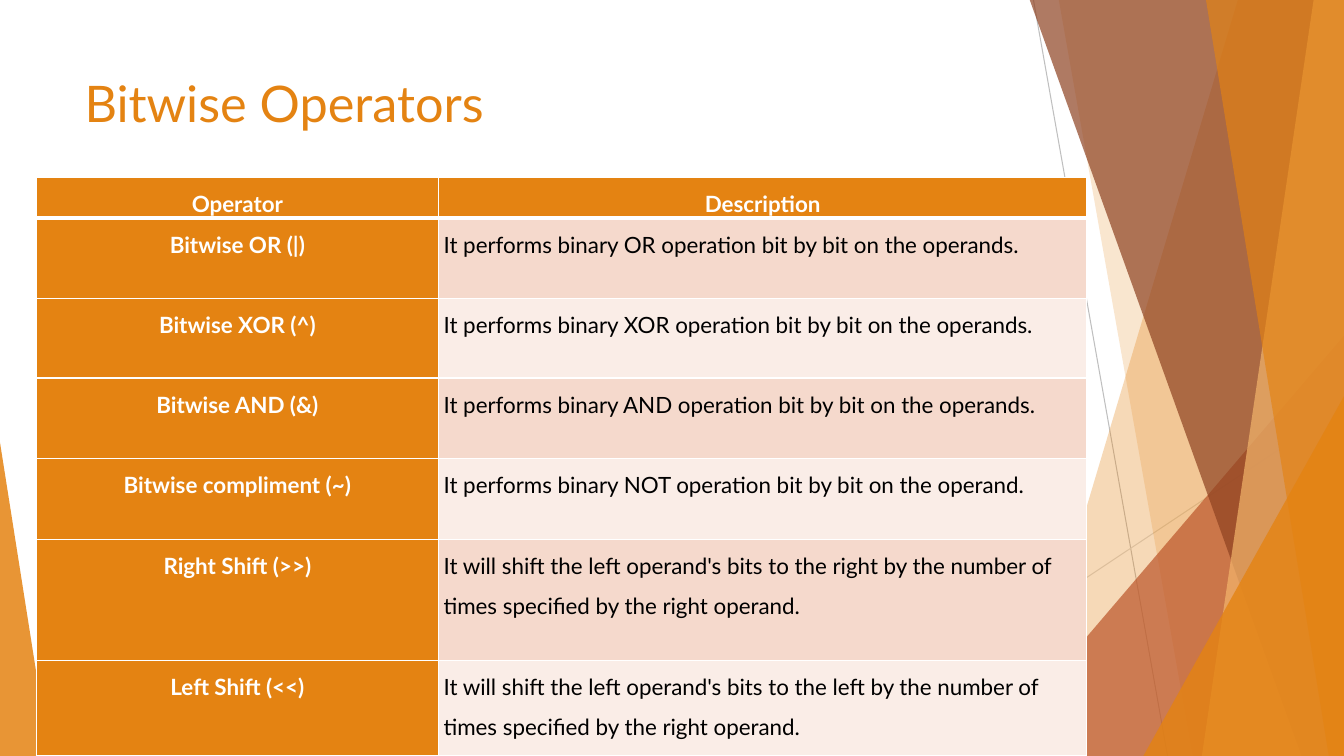
from lxml import etree
from pptx import Presentation
from pptx.dml.color import RGBColor
from pptx.enum.shapes import MSO_CONNECTOR, MSO_SHAPE
from pptx.enum.text import MSO_ANCHOR, PP_ALIGN
from pptx.oxml.ns import qn
from pptx.util import Inches, Pt

STRAIGHT = MSO_CONNECTOR.STRAIGHT
TRIANGLE = MSO_SHAPE.ISOSCELES_TRIANGLE
TOP = MSO_ANCHOR.TOP
LEFT, CENTER = PP_ALIGN.LEFT, PP_ALIGN.CENTER

WHITE = RGBColor(0xFF, 0xFF, 0xFF)
BLACK = RGBColor(0x00, 0x00, 0x00)
ORANGE = RGBColor(0xE4, 0x83, 0x12)
LIGHT_ORANGE = RGBColor(0xF3, 0xB5, 0x6C)
RUST = RGBColor(0xBD, 0x58, 0x2C)
BROWN = RGBColor(0x8E, 0x42, 0x21)
GRAY = RGBColor(0xBF, 0xBF, 0xBF)
LIGHT_GRAY = RGBColor(0xD9, 0xD9, 0xD9)
STRIPES = (RGBColor(0xF5, 0xD9, 0xCC), RGBColor(0xFA, 0xED, 0xE7))

WIDTH, HEIGHT = 13.33, 7.5
BAND_TOP = -0.01
COL_WIDTHS = (3.99, 6.43)
ROW_HEIGHTS = (0.4, 0.8, 0.79, 0.8, 0.8, 1.2, 0.95)
ROWS = (
    ("Operator", "Description"),
    ("Bitwise OR (|)", "It performs binary OR operation bit by bit on the operands."),
    ("Bitwise XOR (^)", "It performs binary XOR operation bit by bit on the operands."),
    ("Bitwise AND (&)", "It performs binary AND operation bit by bit on the operands."),
    ("Bitwise compliment (~)", "It performs binary NOT operation bit by bit on the operand."),
    ("Right Shift (>>)", "It will shift the left operand's bits to the right by the number "
     "of times specified by the right operand."),
    ("Left Shift (<<)", "It will shift the left operand's bits to the left by the number "
     "of times specified by the right operand."),
)


class Deck:
    """Hold the style and the current slide."""

    font = "Lato"

    def __init__(self, slide):
        """Keep the slide to draw on."""
        self.s = slide

    def line(self, x1, y1, x2, y2, color):
        """Draw a thin straight line."""
        sp = self.s.shapes.add_connector(
            STRAIGHT, Inches(x1), Inches(y1), Inches(x2), Inches(y2))
        sp.line.color.rgb = color
        sp.line.width = Pt(0.75)
        etree.SubElement(sp._element.spPr, qn("a:effectLst"))

    def paint(self, sp, color, opacity):
        """Fill a shape with a see-through colour and no outline."""
        sp.shadow.inherit = False
        sp.fill.solid()
        sp.fill.fore_color.rgb = color
        sp.line.fill.background()
        clr = sp._element.spPr.find(qn("a:solidFill"))[0]
        etree.SubElement(clr, qn("a:alpha")).set("val", str(opacity * 1000))

    def band(self, top_x, bottom_x, color, opacity):
        """Draw a slanted band that reaches the right edge."""
        points = ((WIDTH, BAND_TOP), (WIDTH, HEIGHT), (bottom_x, HEIGHT))
        fb = self.s.shapes.build_freeform(Inches(top_x), Inches(BAND_TOP))
        fb.add_line_segments([(Inches(x), Inches(y)) for x, y in points], close=True)
        self.paint(fb.convert_to_shape(), color, opacity)

    def triangle(self, x, y, w, apex, color, opacity):
        """Draw a triangle that stands on the bottom edge."""
        sp = self.s.shapes.add_shape(
            TRIANGLE, Inches(x), Inches(y), Inches(w), Inches(HEIGHT - y))
        sp.adjustments[0] = apex
        self.paint(sp, color, opacity)

    def run(self, p, text, size, color, bold=False):
        """Add one styled run to a paragraph."""
        r = p.add_run()
        r.text = text
        r.font.name = self.font
        r.font.size = Pt(size)
        r.font.bold = bold
        r.font.color.rgb = color

    def title(self, x, y, w, h, text):
        """Add the slide title."""
        tf = self.s.shapes.add_textbox(Inches(x), Inches(y), Inches(w), Inches(h)).text_frame
        tf.word_wrap = True
        tf.vertical_anchor = TOP
        self.run(tf.paragraphs[0], text, 36, ORANGE)

    def borders(self, cell, top, bottom):
        """Give a cell white borders, widths in points."""
        tc_pr = cell._tc.get_or_add_tcPr()
        sides = (("L", 1), ("R", 1), ("T", top), ("B", bottom))
        for i, (side, width) in enumerate(sides):
            ln = etree.Element(qn("a:ln" + side), w=str(Pt(width)))
            fill = etree.SubElement(ln, qn("a:solidFill"))
            etree.SubElement(fill, qn("a:srgbClr")).set("val", str(WHITE))
            tc_pr.insert(i, ln)

    def cell(self, cell, text, fill, color, bold, align):
        """Fill one table cell and write its text."""
        cell.fill.solid()
        cell.fill.fore_color.rgb = fill
        cell.margin_left = cell.margin_right = Inches(0.05)
        cell.margin_top = cell.margin_bottom = 0
        p = cell.text_frame.paragraphs[0]
        p.alignment = align
        p.line_spacing = 1.5
        self.run(p, text, 16, color, bold)

    def table(self, x, y, rows):
        """Add the operator table with a header row and header column."""
        table = self.s.shapes.add_table(
            len(rows), len(COL_WIDTHS), Inches(x), Inches(y),
            Inches(sum(COL_WIDTHS)), Inches(sum(ROW_HEIGHTS))).table
        for col, width in zip(table.columns, COL_WIDTHS):
            col.width = Inches(width)
        for i, (row, texts) in enumerate(zip(table.rows, rows)):
            row.height = Inches(ROW_HEIGHTS[i])
            for j, text in enumerate(texts):
                cell = row.cells[j]
                if i == 0 or j == 0:
                    self.cell(cell, text, ORANGE, WHITE, True, CENTER)
                else:
                    self.cell(cell, text, STRIPES[(i - 1) % 2], BLACK, False, LEFT)
                self.borders(cell, 3 if i == 1 else 1, 3 if i == 0 else 1)


def main():
    """Build the slide and save it."""
    prs = Presentation()
    prs.slide_width, prs.slide_height = Inches(WIDTH), Inches(HEIGHT)
    deck = Deck(prs.slides.add_slide(prs.slide_layouts[6]))

    deck.line(10.25, 0, 11.58, HEIGHT, GRAY)
    deck.line(WIDTH, 4.03, 8.12, HEIGHT, LIGHT_GRAY)
    deck.band(12.28, 10.04, ORANGE, 30)
    deck.band(10.5, 11.83, ORANGE, 20)
    deck.triangle(9.77, 3.33, 3.56, 1, RUST, 72)
    deck.band(10.21, 12.91, BROWN, 70)
    deck.band(13.03, 11.92, LIGHT_ORANGE, 70)
    deck.band(11.96, 13.18, ORANGE, 65)
    deck.triangle(11.34, 3.93, 1.99, 1, ORANGE, 80)
    deck.triangle(0, 4.39, 0.49, 0, ORANGE, 85)

    deck.title(0.74, 0.67, 9.4, 1.44, "Bitwise Operators")
    deck.table(0.36, 1.76, ROWS)
    prs.save("out.pptx")


main()
